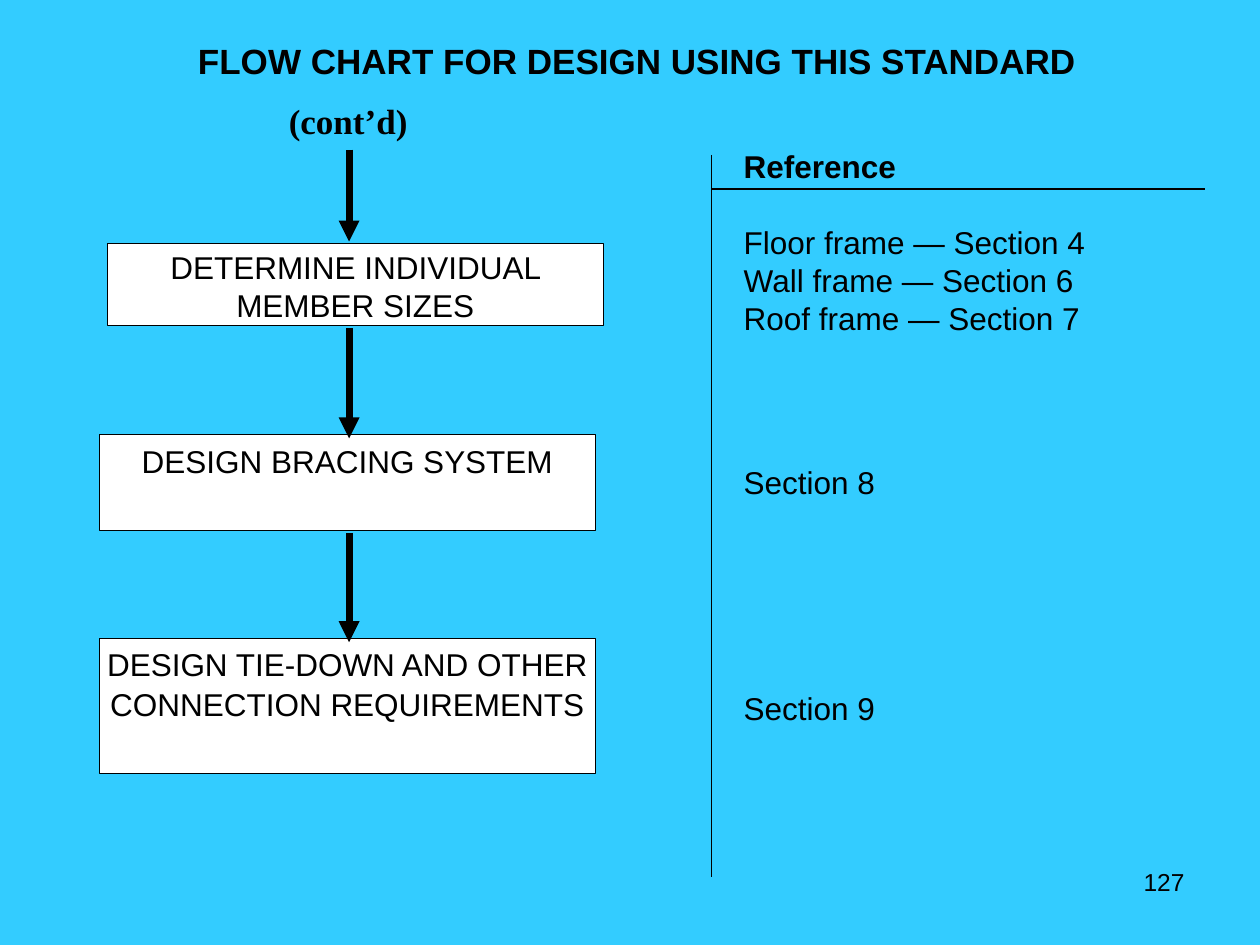
import pptx
import pptx.util
import pptx.dml.color
import pptx.enum.shapes
import pptx.enum.text
import pptx.oxml.ns
from lxml import etree

Pt = pptx.util.Pt
RGBColor = pptx.dml.color.RGBColor
ALIGN = pptx.enum.text.PP_ALIGN

SKY = RGBColor(0x33, 0xCC, 0xFF)
BLACK = RGBColor(0, 0, 0)
WHITE = RGBColor(0xFF, 0xFF, 0xFF)
SINGLE, LOOSE = 1.0, 1.04  # line spacings

# Content
HEADING = "FLOW CHART FOR DESIGN USING THIS STANDARD"
CONTINUED = "(cont’d)"
PAGE_NUMBER = "127"
STEPS = [  # wording, left, top, height, line spacing
    ("DETERMINE INDIVIDUAL MEMBER SIZES", 61.25, 139, 47, SINGLE),
    ("DESIGN BRACING SYSTEM", 56.75, 248.5, 54.5, LOOSE),
    ("DESIGN TIE-DOWN AND OTHER CONNECTION REQUIREMENTS", 56.75, 365, 77, LOOSE),
]
REFERENCES = [  # wording, space before, bold
    ("Reference", 0, True),
    ("Floor frame — Section 4", 22, False),
    ("Wall frame — Section 6", 0, False),
    ("Roof frame — Section 7", 0, False),
    ("Section 8", 72, False),
    ("Section 9", 108, False),
]

# Layout
STEP_WIDTH = 283.5
FLOW_X = 199.5
ARROW_SPANS = [(85.5, 138), (187.5, 250.5), (304.5, 367)]
DIVIDER_X, DIVIDER_TOP, DIVIDER_BOTTOM = 406.75, 88.5, 501
RULE_Y, RULE_RIGHT = 108, 688.5


def place(shape, left, top, width, height):
    shape.left, shape.top = Pt(left), Pt(top)
    shape.width, shape.height = Pt(width), Pt(height)


def prepare_frame(shape, left=0, top=0, right=0, bottom=0):
    frame = shape.text_frame
    frame.word_wrap = True
    frame.auto_size = pptx.enum.text.MSO_AUTO_SIZE.NONE
    frame.vertical_anchor = pptx.enum.text.MSO_ANCHOR.TOP
    frame.margin_left, frame.margin_top = Pt(left), Pt(top)
    frame.margin_right, frame.margin_bottom = Pt(right), Pt(bottom)
    return frame


def write(paragraph, wording, size, align=ALIGN.LEFT, bold=False,
          font="Arial", before=0, spacing=SINGLE):
    paragraph.alignment = align
    paragraph.line_spacing = spacing
    paragraph.space_before, paragraph.space_after = Pt(before), Pt(0)
    run = paragraph.add_run()
    run.text = wording
    run.font.name, run.font.size, run.font.bold = font, Pt(size), bold
    run.font.color.rgb = BLACK


def add_line(slide, x1, y1, x2, y2, weight, arrow=False):
    line = slide.shapes.add_connector(
        pptx.enum.shapes.MSO_CONNECTOR.STRAIGHT, Pt(x1), Pt(y1), Pt(x2), Pt(y2))
    line.line.color.rgb = BLACK
    line.line.width = Pt(weight)
    if arrow:
        etree.SubElement(line.line._get_or_add_ln(),
                         pptx.oxml.ns.qn("a:tailEnd"), type="triangle")
    etree.SubElement(line._element.spPr, pptx.oxml.ns.qn("a:effectLst"))


def main():
    deck = pptx.Presentation()
    deck.slide_width, deck.slide_height = Pt(720), Pt(540)
    slide = deck.slides.add_slide(deck.slide_layouts[5])
    slide.background.fill.solid()
    slide.background.fill.fore_color.rgb = SKY

    # Heading, with its continuation mark above the flow
    heading = slide.shapes.title
    place(heading, 67.75, 21.75, 592.5, 60)
    frame = prepare_frame(heading)
    write(frame.paragraphs[0], HEADING, 20, ALIGN.CENTER, True, spacing=LOOSE)
    continued = frame.add_paragraph()
    continued._p.get_or_add_pPr().set("marL", str(Pt(97.25)))
    write(continued, CONTINUED, 20, bold=True, font="Times New Roman",
          before=9, spacing=LOOSE)

    # Flow steps
    for wording, left, top, height, spacing in STEPS:
        step = slide.shapes.add_shape(
            pptx.enum.shapes.MSO_SHAPE.RECTANGLE,
            Pt(left), Pt(top), Pt(STEP_WIDTH), Pt(height))
        step.shadow.inherit = False
        step.fill.solid()
        step.fill.fore_color.rgb = WHITE
        step.line.color.rgb = BLACK
        step.line.width = Pt(0.5)
        frame = prepare_frame(step, top=3)
        write(frame.paragraphs[0], wording, 18, ALIGN.CENTER, spacing=spacing)

    # Reference column
    column = slide.shapes.add_textbox(Pt(425), Pt(84), Pt(262), Pt(422.5))
    frame = prepare_frame(column)
    for index, (wording, before, bold) in enumerate(REFERENCES):
        paragraph = frame.add_paragraph() if index else frame.paragraphs[0]
        write(paragraph, wording, 18, bold=bold, before=before)

    # Arrows and column rules
    for start, end in ARROW_SPANS:
        add_line(slide, FLOW_X, start, FLOW_X, end, 4, arrow=True)
    add_line(slide, DIVIDER_X, DIVIDER_TOP, DIVIDER_X, DIVIDER_BOTTOM, 0.75)
    add_line(slide, DIVIDER_X, RULE_Y, RULE_RIGHT, RULE_Y, 0.75)

    # Page number
    page = slide.shapes.add_textbox(Pt(516), Pt(492), Pt(168), Pt(37.5))
    frame = prepare_frame(page, 7.2, 3.6, 7.2, 3.6)
    write(frame.paragraphs[0], PAGE_NUMBER, 14, ALIGN.RIGHT)

    deck.save("out.pptx")


if __name__ == "__main__":
    main()
